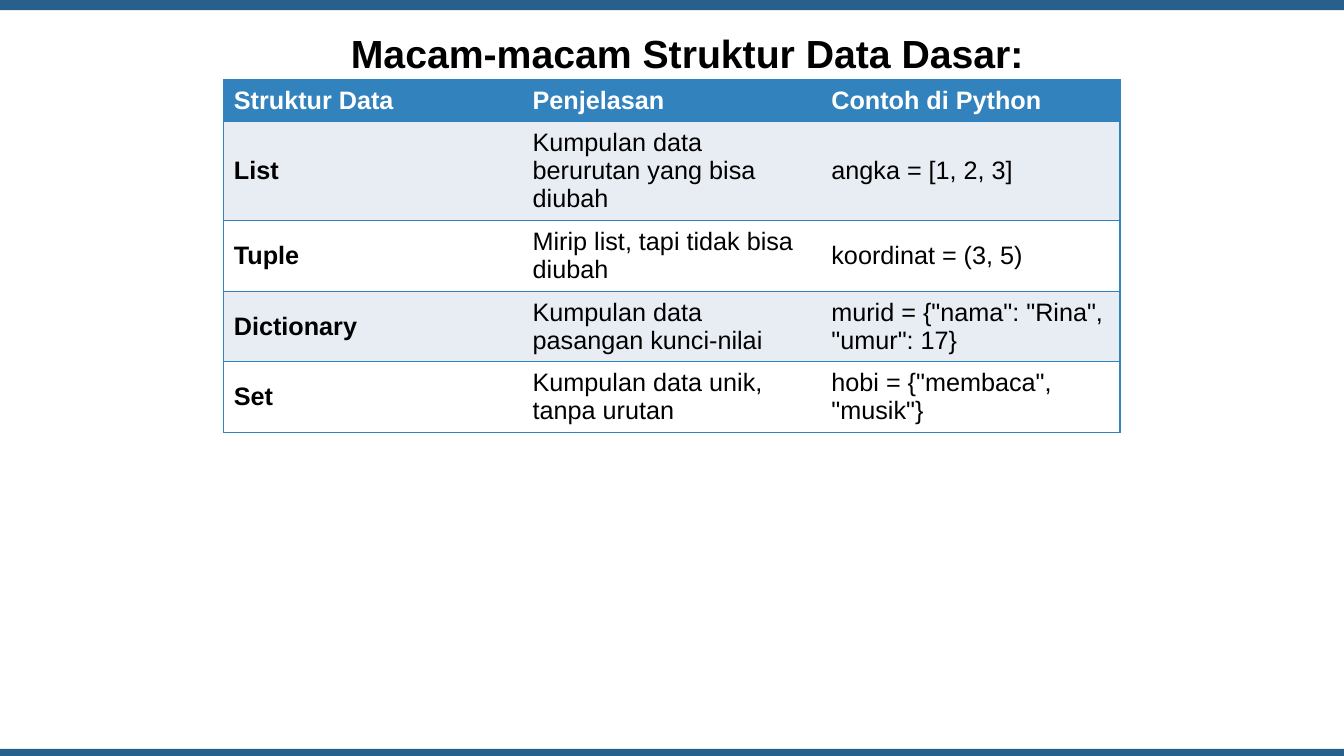
"""Build the slide that lists the basic data structures in a table."""
import lxml.etree
import pptx
import pptx.dml.color
import pptx.enum.text
import pptx.oxml.ns
import pptx.util

Inches = pptx.util.Inches
RGBColor = pptx.dml.color.RGBColor
MIDDLE = pptx.enum.text.MSO_ANCHOR.MIDDLE
BAR_BLUE = RGBColor(0x28, 0x60, 0x8C)
TABLE_BLUE = RGBColor(0x32, 0x82, 0xBE)
BAND = RGBColor(0xE8, 0xED, 0xF4)
WHITE = RGBColor(0xFF, 0xFF, 0xFF)
BLACK = RGBColor(0, 0, 0)

SLIDE_W, SLIDE_H = 13.33, 7.5
COL_W = 2.963
ROW_HEIGHTS = [0.41, 0.99, 0.7, 0.7, 0.7]
ROWS = [
    ("Struktur Data", "Penjelasan", "Contoh di Python"),
    ("List", "Kumpulan data berurutan yang bisa diubah", "angka = [1, 2, 3]"),
    ("Tuple", "Mirip list, tapi tidak bisa diubah", "koordinat = (3, 5)"),
    ("Dictionary", "Kumpulan data pasangan kunci-nilai",
     'murid = {"nama": "Rina", "umur": 17}'),
    ("Set", "Kumpulan data unik, tanpa urutan", 'hobi = {"membaca", "musik"}'),
]


def write_text(tf, text, size, color, bold):
    """Put one formatted run into a text frame and return its paragraph."""
    p = tf.paragraphs[0]
    r = p.add_run()
    r.text = text
    font = {"name": "Arial", "size": pptx.util.Pt(size), "bold": bold}
    for key, value in font.items():
        setattr(r.font, key, value)
    r.font.color.rgb = color
    return p


def add_bar(s, top, height):
    """Add a full-width bar."""
    sp = s.shapes.add_shape(pptx.enum.shapes.MSO_SHAPE.RECTANGLE, 0,
                            Inches(top), Inches(SLIDE_W), Inches(height))
    sp.shadow.inherit = False
    sp.fill.solid()
    sp.fill.fore_color.rgb = BAR_BLUE
    sp.line.fill.background()


def set_title(s, text):
    """Place and fill the title placeholder."""
    sp = s.shapes.title
    box = {"left": -0.05, "top": 0.21, "width": 13.73, "height": 0.62}
    for key, value in box.items():
        setattr(sp, key, Inches(value))
    tf = sp.text_frame
    frame = {"word_wrap": True, "vertical_anchor": MIDDLE,
             "auto_size": pptx.enum.text.MSO_AUTO_SIZE.NONE}
    for key, value in frame.items():
        setattr(tf, key, value)
    p = write_text(tf, text, 28, BLACK, True)
    p.alignment = pptx.enum.text.PP_ALIGN.CENTER


def set_borders(cell, sides):
    """Draw the given sides of a cell and clear the others."""
    qn = pptx.oxml.ns.qn
    tc_pr = cell._tc.get_or_add_tcPr()
    for side in "LRTB":
        ln = lxml.etree.SubElement(tc_pr, qn(f"a:ln{side}"), w="12700")
        if side in sides:
            fill = lxml.etree.SubElement(ln, qn("a:solidFill"))
            lxml.etree.SubElement(fill, qn("a:srgbClr"), val=str(TABLE_BLUE))
        else:
            lxml.etree.SubElement(ln, qn("a:noFill"))


def add_structure_table(s):
    """Add the table of data structures."""
    last = len(ROWS[0]) - 1
    table = s.shapes.add_table(
        len(ROWS), last + 1, Inches(2.22), Inches(0.79),
        Inches(COL_W * (last + 1)), Inches(sum(ROW_HEIGHTS))).table
    table.horz_banding = False
    for column in table.columns:
        column.width = Inches(COL_W)
    for i, texts in enumerate(ROWS):
        table.rows[i].height = Inches(ROW_HEIGHTS[i])
        fill = TABLE_BLUE if i == 0 else BAND if i % 2 else WHITE
        color = WHITE if i == 0 else BLACK
        for j, text in enumerate(texts):
            cell = table.cell(i, j)
            sides = "TB" + ("L" if j == 0 else "") + ("R" if j == last else "")
            set_borders(cell, sides)
            cell.fill.solid()
            cell.fill.fore_color.rgb = fill
            cell.vertical_anchor = MIDDLE
            write_text(cell.text_frame, text, 18, color, i == 0 or j == 0)


def main():
    """Create the presentation and save it."""
    prs = pptx.Presentation()
    prs.slide_width, prs.slide_height = Inches(SLIDE_W), Inches(SLIDE_H)
    s = prs.slides.add_slide(prs.slide_layouts.get_by_name("Title Only"))
    add_bar(s, 0, 0.1)
    add_bar(s, 7.43, 0.07)
    set_title(s, "Macam-macam Struktur Data Dasar:")
    add_structure_table(s)
    prs.save("out.pptx")


if __name__ == "__main__":
    main()
